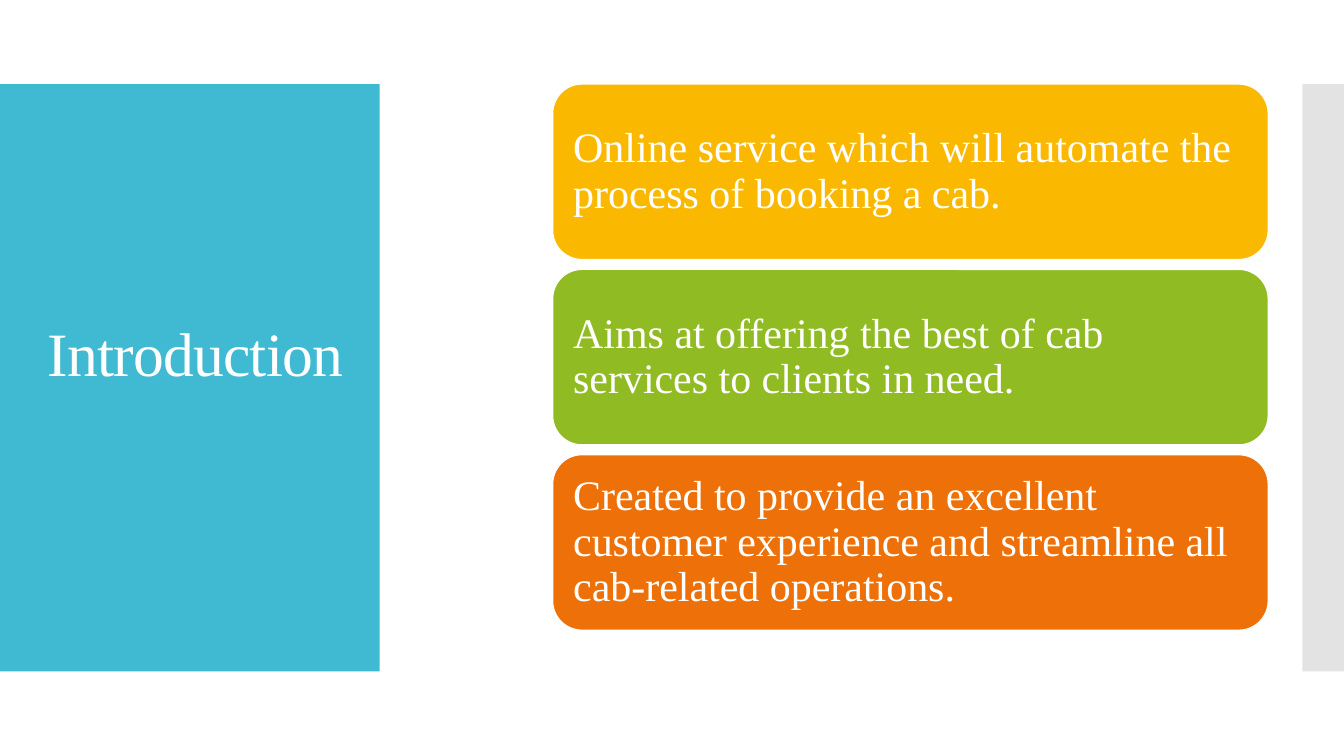
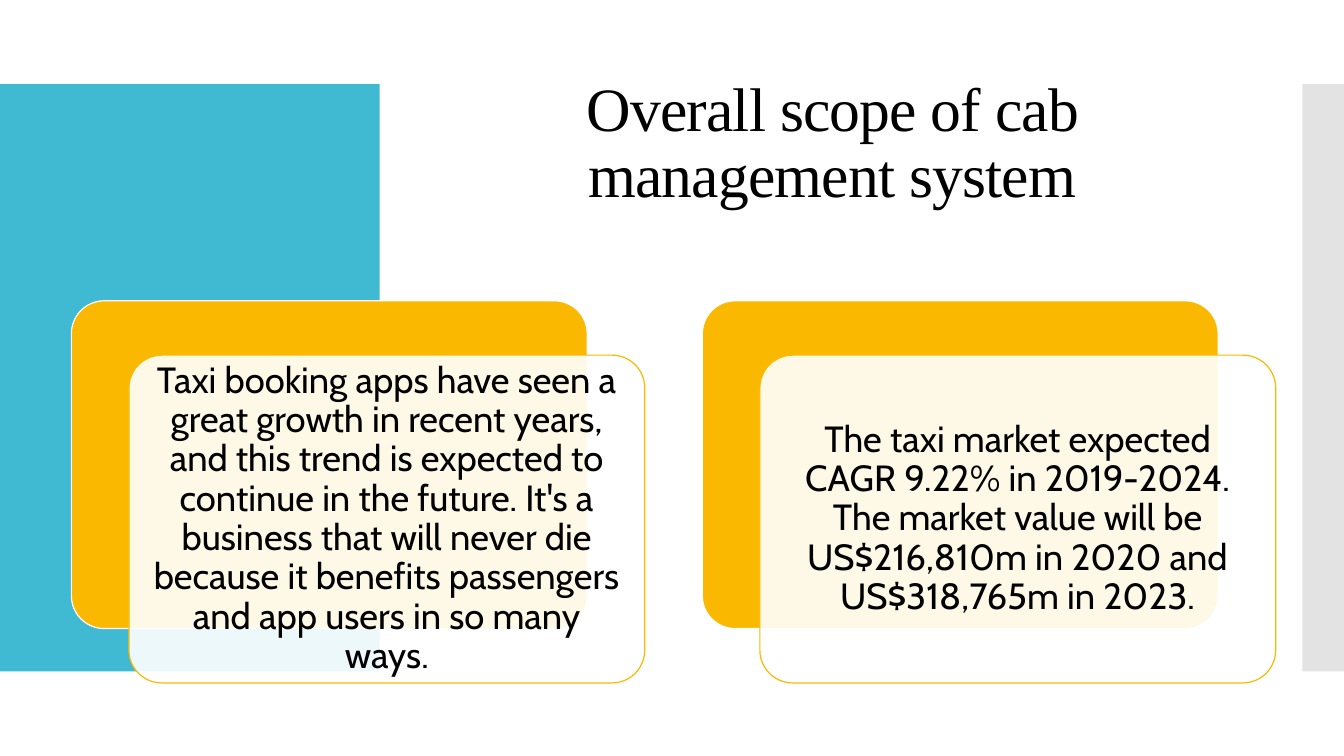
from lxml.etree import SubElement
from pptx import Presentation
from pptx.dml.color import RGBColor
from pptx.enum.shapes import MSO_SHAPE
from pptx.enum.text import MSO_ANCHOR, MSO_AUTO_SIZE, PP_ALIGN
from pptx.oxml.ns import qn
from pptx.util import Cm, Pt

WHITE, BLACK, GREY = "FFFFFF", "000000", "C8C8C8"
TEAL, YELLOW, GREEN, ORANGE = "40BAD2", "FAB900", "90BB23", "EE7008"
SERIF, SANS = "Times New Roman", "Cabin"
TITLE_ONLY = 5

SECTIONS = [
    ("Online service which will automate the process of booking a cab.", YELLOW),
    ("Aims at offering the best of cab services to clients in need.", GREEN),
    ("Created to provide an excellent customer experience and streamline all "
     "cab-related operations.", ORANGE),
]
SCOPE = [
    "Taxi booking apps have seen a great growth in recent years, and this trend is "
    "expected to continue in the future. It's a business that will never die because "
    "it benefits passengers and app users in so many ways.",
    "The taxi market expected CAGR 9.22% in 2019-2024. The market value will be "
    "US$216,810m in 2020 and US$318,765m in 2023.",
]


def paint(color_format, color):
    """Give a fill, line or font colour its hex value."""
    color_format.rgb = RGBColor.from_string(color)


def add_box(page, kind, place, fill, line=None, opacity=100):
    """Add a flat shape at (left, top, width, height) in centimetres."""
    box = page.shapes.add_shape(kind, *map(Cm, place))
    box.shadow.inherit = False
    box.fill.solid()
    paint(box.fill.fore_color, fill)
    if opacity < 100:
        color = box.element.spPr.find(qn("a:solidFill"))[0]
        SubElement(color, qn("a:alpha")).set("val", str(opacity * 1000))
    if line:
        paint(box.line.color, line)
        box.line.width = Pt(0.85)
    else:
        box.line.fill.background()
    return box


def write(box, text, size, font, color, align, inset):
    """Write one vertically centred paragraph into a shape."""
    frame = box.text_frame
    frame.word_wrap = True
    frame.auto_size = MSO_AUTO_SIZE.NONE
    frame.vertical_anchor = MSO_ANCHOR.MIDDLE
    frame.margin_left = frame.margin_right = Cm(inset)
    frame.margin_top = frame.margin_bottom = Cm(inset)
    para = frame.paragraphs[0]
    para.text = text
    para.alignment = align
    para.line_spacing = 0.9
    para.font.size = Pt(size)
    para.font.name = font
    paint(para.font.color, color)
    return para


def add_page(deck, title, place, color, align):
    """Add a title-only slide with its title placed and formatted."""
    page = deck.slides.add_slide(deck.slide_layouts[TITLE_ONLY])
    box = page.shapes.title
    box.left, box.top, box.width, box.height = map(Cm, place)
    para = write(box, title, 44, SERIF, color, align, 0.25)
    para.font._element.set("spc", "-60")
    return page


def move_bands_to_layout(page):
    """Draw the side bands and move them to the layout that slides share."""
    bands = [
        add_box(page, MSO_SHAPE.RECTANGLE, (0, 2.12, 9.57, 14.8), TEAL),
        add_box(page, MSO_SHAPE.RECTANGLE, (32.82, 2.12, 1.05, 14.8), GREY, opacity=50),
    ]
    for band in bands:
        page.slide_layout.shapes.element.insert(2, band.element)


def add_section(page, index, text, color):
    """Add one coloured section of the stacked list."""
    place = (13.93, 2.12 + index * 4.67, 18.03, 4.42)
    box = add_box(page, MSO_SHAPE.ROUNDED_RECTANGLE, place, color, WHITE)
    write(box, text, 30, SERIF, WHITE, PP_ALIGN.LEFT, 0.3)


def add_card(page, index, text):
    """Add a translucent text card in front of a yellow one."""
    left, top, width, height = 1.8 + index * 15.9, 7.58, 13, 8.26
    back = add_box(page, MSO_SHAPE.ROUNDED_RECTANGLE,
                   (left, top, width, height), YELLOW, WHITE)
    front = add_box(page, MSO_SHAPE.ROUNDED_RECTANGLE,
                    (left + 1.45, top + 1.37, width, height), WHITE, YELLOW, 90)
    for box in (back, front):
        box.adjustments[0] = 0.1
    write(front, text, 26, SANS, BLACK, PP_ALIGN.CENTER, 0.28)


def main():
    """Build and save the deck."""
    deck = Presentation()
    deck.slide_width, deck.slide_height = Cm(33.87), Cm(19.05)

    introduction = add_page(deck, "Introduction", (0.95, 1.9, 8.28, 14.17),
                            WHITE, PP_ALIGN.LEFT)
    move_bands_to_layout(introduction)
    for index, (text, color) in enumerate(SECTIONS):
        add_section(introduction, index, text, color)

    scope = add_page(deck, "Overall scope of cab management system",
                     (12.95, 1.22, 16.05, 4.85), BLACK, PP_ALIGN.CENTER)
    for index, text in enumerate(SCOPE):
        add_card(scope, index, text)

    deck.save("out.pptx")


if __name__ == "__main__":
    main()
